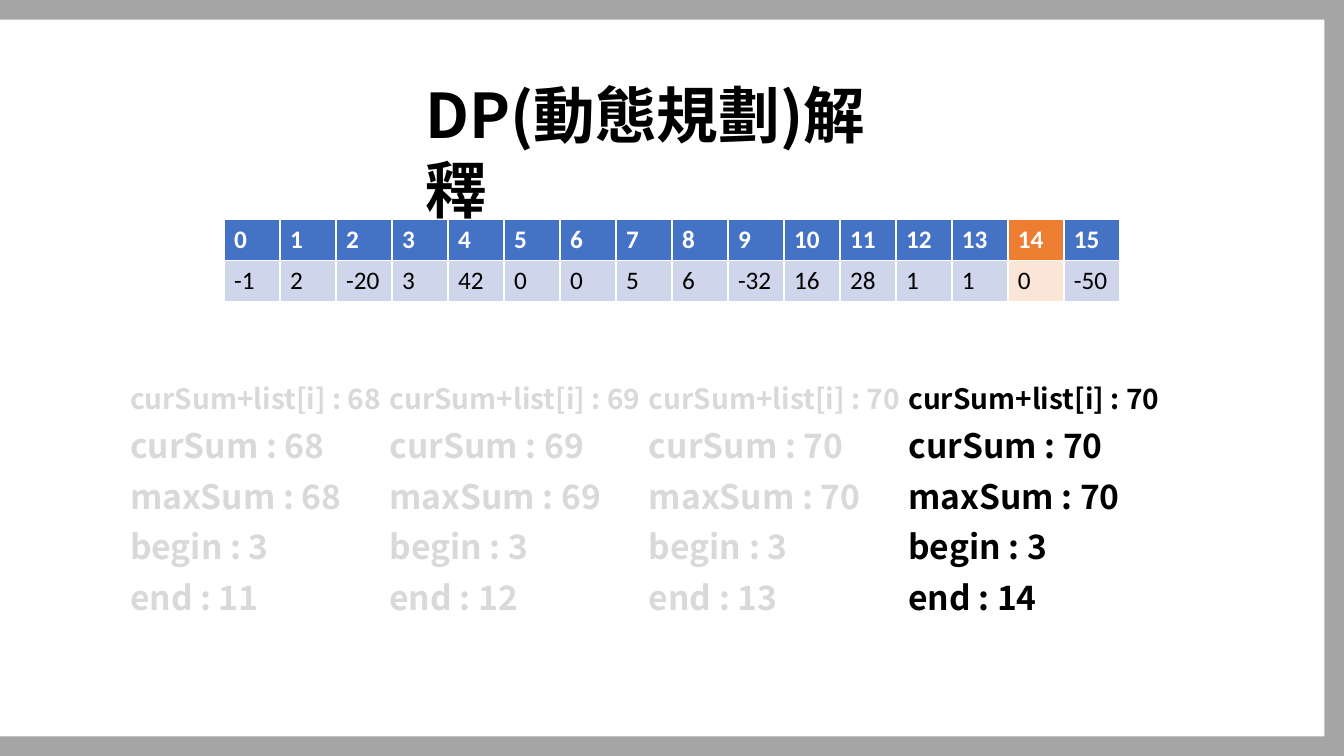
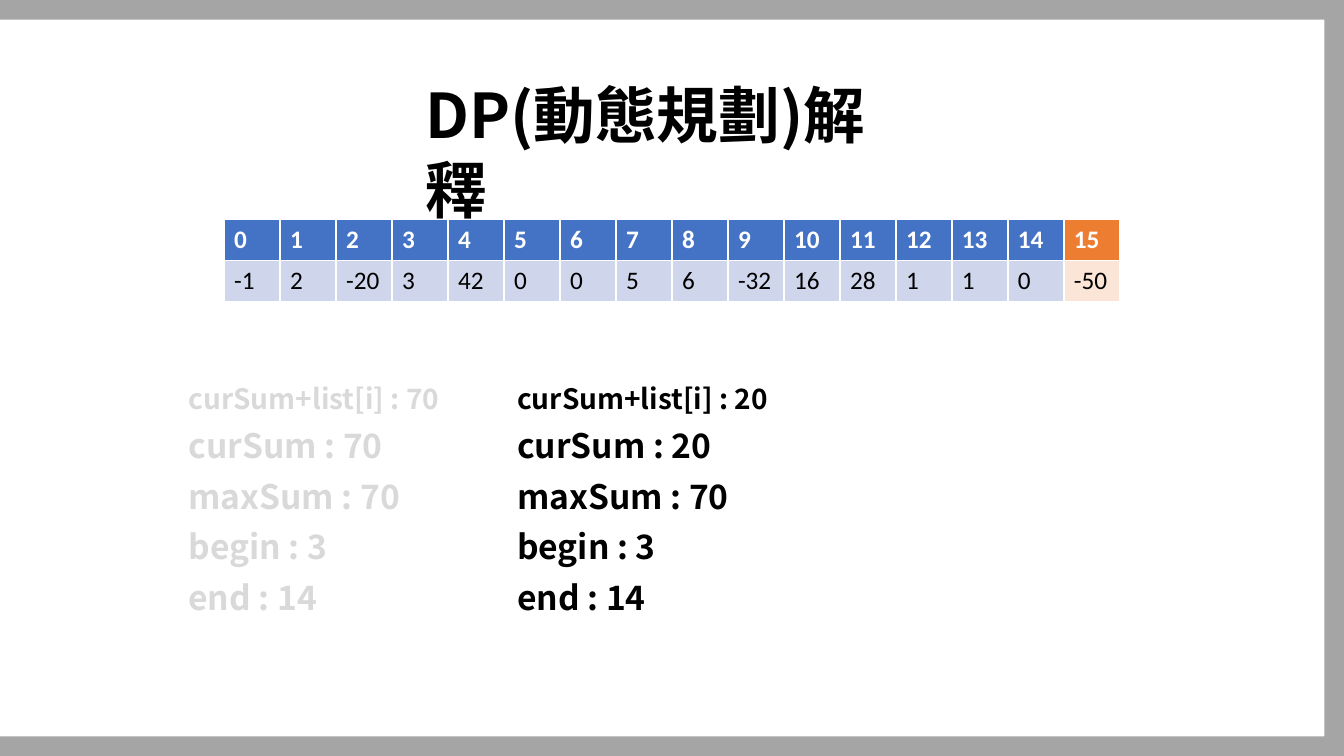
from pptx import Presentation
from pptx import util as u
from pptx.dml.color import RGBColor
from pptx.enum import shapes, text
from pptx.oxml import parse_xml
from pptx.oxml.ns import nsdecls

Pt = u.Pt
HUES = {
    "frame": "A5A5A5", "ink": "000000", "past": "D9D9D9", "white": "FFFFFF",
    "head": "4472C4", "head_on": "ED7D31", "cell": "CFD5EA", "cell_on": "FBE5D6",
}
SANS = "Noto Sans CJK SC"
WIDE, HIGH = 960, 540
TITLE = "DP(動態規劃)解釋"
NUMS = [-1, 2, -20, 3, 42, 0, 0, 5, 6, -32, 16, 28, 1, 1, 0, -50]
SLIDES = [
    {"layout": 4, "mark": 14, "left": 85.7, "step": 185.3,
     "states": [(68, 68, 3, 11), (69, 69, 3, 12), (70, 70, 3, 13), (70, 70, 3, 14)]},
    {"layout": 3, "mark": 15, "left": 127.4, "step": 234.8,
     "states": [(70, 70, 3, 14), (20, 70, 3, 14)]},
]


def hue(name):
    """Return the named colour."""
    return RGBColor.from_string(HUES[name])


def apply(item, form):
    """Set each attribute in a dict of format values."""
    for key, value in form.items():
        setattr(item, key, value)


def place(shape, box):
    """Move a shape to a box of left, top, width and height."""
    apply(shape, dict(zip(("left", "top", "width", "height"), map(Pt, box))))


def style(para, size, name, face=SANS, bold=True):
    """Format the runs of a paragraph."""
    for run in para.runs:
        apply(run.font, {"size": Pt(size), "bold": bold, "name": face})
        run.font.color.rgb = hue(name)
        run.font._element.append(
            parse_xml(f'<a:ea {nsdecls("a")} typeface="{face}"/>'))


def fill_text(shape, box, lines, name):
    """Write plain left-aligned lines of (words, size, pitch, gap) in a placeholder."""
    place(shape, box)
    frame = shape.text_frame
    apply(frame, {"word_wrap": True, "auto_size": text.MSO_AUTO_SIZE.NONE,
                  "vertical_anchor": text.MSO_ANCHOR.TOP})
    frame.text = "\n".join(line[0] for line in lines)
    for para, (_, size, pitch, gap) in zip(frame.paragraphs, lines):
        apply(para, {"alignment": text.PP_ALIGN.LEFT, "line_spacing": Pt(pitch),
                     "space_before": Pt(gap), "space_after": Pt(0)})
        props = para._p.get_or_add_pPr()
        props.set("marL", "0")
        props.set("indent", "0")
        props.append(parse_xml(f'<a:buNone {nsdecls("a")}/>'))
        style(para, size, name)


def add_frame(slide, box):
    """Draw the grey border behind everything else."""
    edge = slide.shapes.add_shape(shapes.MSO_SHAPE.FRAME, *map(Pt, box))
    edge.adjustments[0] = 0.026
    edge.shadow.inherit = False
    edge.fill.solid()
    edge.fill.fore_color.rgb = hue("frame")
    edge.line.fill.background()
    slide.shapes._spTree.insert(2, edge._element)


def add_grid(slide, box, mark):
    """Show the indexed numbers with one column marked."""
    grid = slide.shapes.add_table(2, len(NUMS), *map(Pt, box)).table
    for row, (kind, ink, words) in enumerate(
            [("head", "white", range(len(NUMS))), ("cell", "ink", NUMS)]):
        for col, word in enumerate(words):
            cell = grid.cell(row, col)
            cell.text = str(word)
            cell.fill.solid()
            cell.fill.fore_color.rgb = hue(kind + "_on" if col == mark else kind)
            style(cell.text_frame.paragraphs[0], 18, ink, "Calibri", row == 0)


def add_state(shape, box, state, name):
    """List the variables of one step."""
    cur, best, begin, end = state
    pairs = [("curSum", cur), ("maxSum", best), ("begin", begin), ("end", end)]
    lines = [(f"curSum+list[i] : {cur}", 20, 23, 0)]
    lines += [(f"{key} : {value}", 24, 26, 10) for key, value in pairs]
    fill_text(shape, box, lines, name)


def add_step(deck, plan):
    """Build one slide of the walk through the list."""
    slide = deck.slides.add_slide(deck.slide_layouts[plan["layout"]])
    title, *bodies = slide.placeholders
    add_frame(slide, (-18.5, 0, WIDE + 18.5, HIGH))
    fill_text(title, (296.6, 50, 367, 61), [(TITLE, 44, 54, 0)], "ink")
    add_grid(slide, (160, 157, 640, 58.4), plan["mark"])
    last = len(plan["states"]) - 1
    for i, (body, state) in enumerate(zip(bodies, plan["states"])):
        box = (plan["left"] + i * plan["step"], 270, 235.4, 214.6)
        add_state(body, box, state, "ink" if i == last else "past")


def main():
    """Build and save the deck."""
    deck = Presentation()
    apply(deck, {"slide_width": Pt(WIDE), "slide_height": Pt(HIGH)})
    for plan in SLIDES:
        add_step(deck, plan)
    deck.save("out.pptx")


if __name__ == "__main__":
    main()
